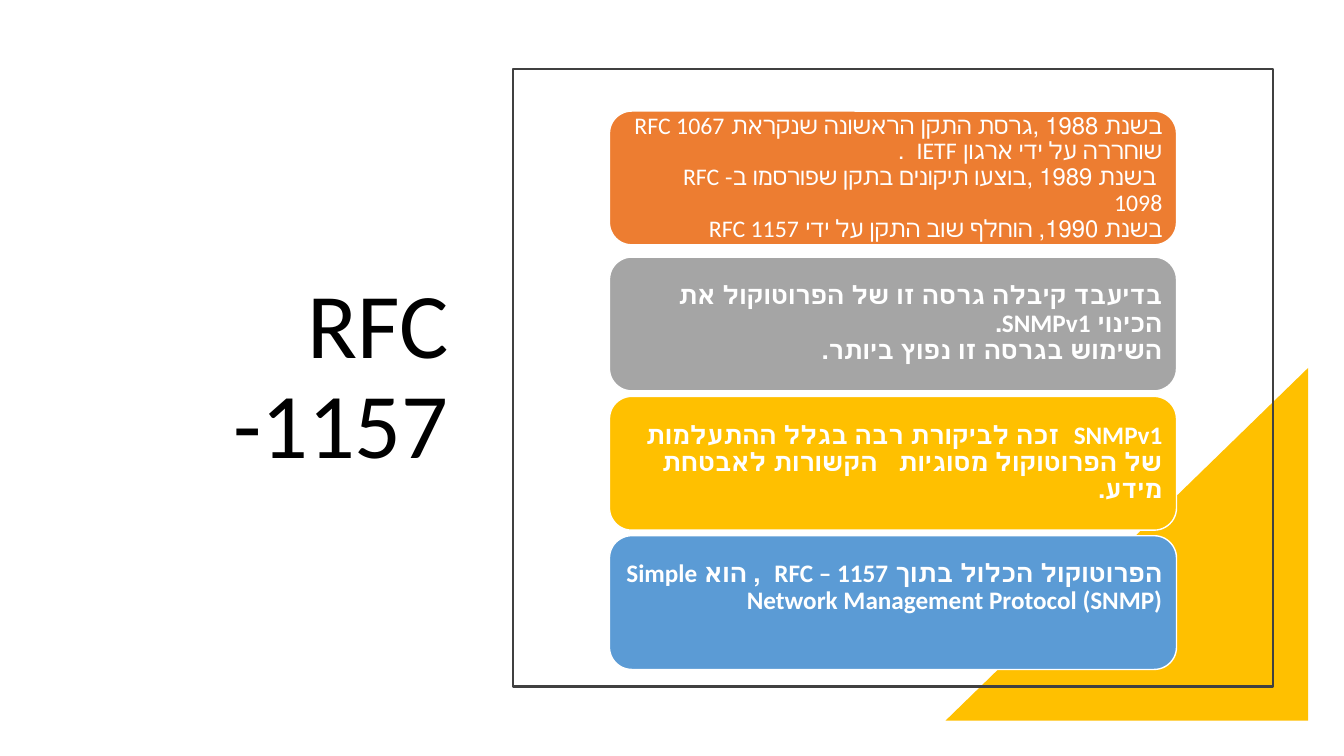
from dataclasses import dataclass

from lxml.etree import SubElement
from pptx import Presentation
from pptx.dml.color import RGBColor
from pptx.enum.shapes import MSO_SHAPE
from pptx.enum.text import MSO_ANCHOR, MSO_AUTO_SIZE, PP_ALIGN
from pptx.oxml.ns import qn
from pptx.util import Cm, Pt


@dataclass(frozen=True)
class Theme:
    font: str = "Calibri"
    ink: str = "000000"
    paper: str = "FFFFFF"
    edge: str = "404040"
    gold: str = "FFC000"
    orange: str = "ED7D31"
    gray: str = "A5A5A5"
    blue: str = "5B9BD5"
    head: int = 66
    body: int = 18
    small: int = 17


LOOK = Theme()
HARD = chr(160)  # no-break space, typed as ~ in the card text

# Text, fill, type size, bold
CARDS = [
    ("בשנת 1988 ,גרסת התקן~הראשונה שנקראת~RFC 1067~ שוחררה על ידי ארגון~IETF~ .\n"
     " בשנת 1989 ,בוצעו תיקונים בתקן שפורסמו ב-RFC  1098~\n"
     "בשנת 1990, הוחלף שוב התקן על ידי~RFC 1157",
     LOOK.orange, LOOK.small, False),
    ("בדיעבד קיבלה גרסה זו של הפרוטוקול את הכינוי SNMPv1. \n"
     "השימוש בגרסה זו נפוץ ביותר.",
     LOOK.gray, LOOK.body, True),
    ("SNMPv1  זכה לביקורת רבה בגלל ההתעלמות של הפרוטוקול מסוגיות   "
     "הקשורות לאבטחת מידע.",
     LOOK.gold, LOOK.body, True),
    ("הפרוטוקול הכלול בתוך RFC – 1157  , הוא Simple Network Management "
     "Protocol (SNMP) \n",
     LOOK.blue, LOOK.body, True),
]


def write(shape, text, size, color, bold=False, rtl=False, inset=None):
    """Put one right-aligned paragraph in the shape."""
    frame = shape.text_frame
    frame.word_wrap = True
    frame.auto_size = MSO_AUTO_SIZE.NONE
    frame.vertical_anchor = MSO_ANCHOR.MIDDLE
    if inset is not None:
        frame.margin_left = frame.margin_right = inset
        frame.margin_top = frame.margin_bottom = inset
    para = frame.paragraphs[0]
    para.text = text.replace("~", HARD)
    para.alignment = PP_ALIGN.RIGHT
    para.line_spacing = 0.9
    if rtl:
        para._p.get_or_add_pPr().set("rtl", "1")
    for run in para.runs:
        run.font.name = LOOK.font
        run.font.size = Pt(size)
        run.font.bold = bold
        run.font.color.rgb = RGBColor.from_string(color)
    for gap in para._p.findall(qn("a:br")):
        SubElement(gap, qn("a:rPr"), sz=str(size * 100))


def draw(slide, kind, box, fill=None, line=None, width=1):
    shape = slide.shapes.add_shape(kind, *box)
    shape.shadow.inherit = False
    if fill:
        shape.fill.solid()
        shape.fill.fore_color.rgb = RGBColor.from_string(fill)
    else:
        shape.fill.background()
    if line:
        shape.line.color.rgb = RGBColor.from_string(line)
        shape.line.width = Pt(width)
    else:
        shape.line.fill.background()
    return shape


def add_title(slide, box):
    title = slide.shapes.title
    title.left, title.top, title.width, title.height = box
    write(title, "RFC -1157", LOOK.head, LOOK.ink)


def add_panel(slide, box):
    left, top, width, height = box
    # Corner triangle behind the frame
    corner = draw(slide, MSO_SHAPE.RIGHT_TRIANGLE,
                  (left + Cm(10.9), top + Cm(7.54), Cm(9.14), Cm(8.89)),
                  fill=LOOK.gold)
    corner._element.spPr.find(qn("a:xfrm")).set("flipH", "1")
    # Frame
    draw(slide, MSO_SHAPE.RECTANGLE, box, line=LOOK.edge, width=1.5)
    # Cards, evenly spaced, the first set slightly higher
    pitch, first = Cm(3.51), top + Cm(1.07)
    for i, (text, fill, size, bold) in enumerate(CARDS):
        y = first + i * pitch + (Cm(0.17) if i else 0)
        card = draw(slide, MSO_SHAPE.ROUNDED_RECTANGLE,
                    (left + Cm(2.43), y, Cm(14.29), Cm(3.37)),
                    fill=fill, line=LOOK.paper)
        write(card, text, size, LOOK.paper, bold=bold, rtl=True,
              inset=Cm(0.19))


def main():
    deck = Presentation()
    deck.slide_width, deck.slide_height = Cm(33.87), Cm(19.05)
    slide = deck.slides.add_slide(deck.slide_layouts[5])
    add_title(slide, (Cm(2.8), Cm(3.31), Cm(8.76), Cm(12.45)))
    add_panel(slide, (Cm(12.93), Cm(1.73), Cm(19.15), Cm(15.57)))
    deck.save("out.pptx")


if __name__ == "__main__":
    main()
